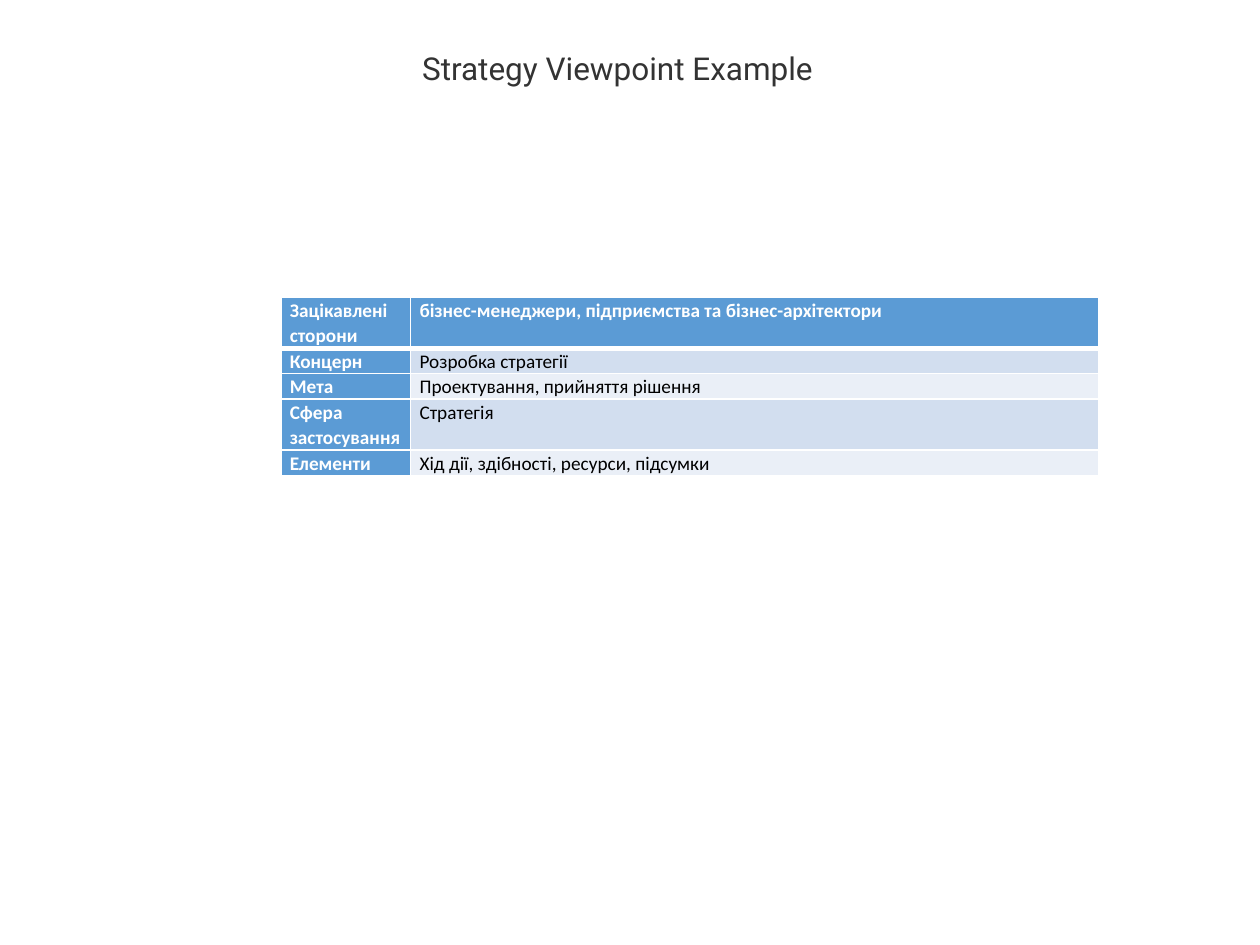
import pptx
import pptx.util
import pptx.dml.color
import pptx.enum.text
import pptx.oxml
import pptx.oxml.ns

COLORS = {
    "white": "FFFFFF",
    "black": "000000",
    "title": "333333",
    "header": "5B9BD5",
    "band_dark": "D2DEEF",
    "band_light": "EAEFF7",
}
LINE_HEIGHT = 0.195
COLUMN_WIDTHS = (1.03, 5.46)

# Label, description and number of text lines in each row
VIEWPOINT_ROWS = (
    ("Зацікавлені сторони", "бізнес-менеджери, підприємства та бізнес-архітектори", 2),
    ("Концерн", "Розробка стратегії", 1),
    ("Мета", "Проектування, прийняття рішення", 1),
    ("Сфера застосування", "Стратегія", 2),
    ("Елементи", "Хід дії, здібності, ресурси, підсумки", 1),
)


def inches(value):
    return pptx.util.Inches(value)


def rgb(name):
    return pptx.dml.color.RGBColor.from_string(COLORS[name])


def write_text(text_frame, text, font="Calibri", size=11, color="black",
               bold=False, line_spacing=1.0):
    paragraph = text_frame.paragraphs[0]
    paragraph.alignment = pptx.enum.text.PP_ALIGN.LEFT
    paragraph.line_spacing = line_spacing
    run = paragraph.add_run()
    run.text = text
    run.font.name = font
    run.font.size = pptx.util.Pt(size)
    run.font.bold = bold
    run.font.color.rgb = rgb(color)


def set_borders(cell, bottom_width):
    """Draw white borders; line elements must come before the cell fill."""
    properties = cell._tc.get_or_add_tcPr()
    widths = {"lnL": 1, "lnR": 1, "lnT": 1, "lnB": bottom_width}
    for position, (side, width) in enumerate(widths.items()):
        line = pptx.oxml.parse_xml(
            f'<a:{side} {pptx.oxml.ns.nsdecls("a")} w="{pptx.util.Pt(width)}">'
            f'<a:solidFill><a:srgbClr val="{COLORS["white"]}"/></a:solidFill>'
            f'</a:{side}>'
        )
        properties.insert(position, line)


def format_cell(cell, text, fill, is_heading, bottom_width):
    cell.margin_left = cell.margin_right = inches(0.07)
    cell.margin_top = cell.margin_bottom = 0
    cell.fill.solid()
    cell.fill.fore_color.rgb = rgb(fill)
    set_borders(cell, bottom_width)
    write_text(cell.text_frame, text, bold=is_heading, line_spacing=1.07,
               color="white" if is_heading else "black")


def add_title(slide, text):
    title = slide.shapes.title
    title.left, title.top = inches(3.25), inches(0.34)
    title.width, title.height = inches(3.35), inches(0.4)
    title.text_frame.word_wrap = False
    title.text_frame.vertical_anchor = pptx.enum.text.MSO_ANCHOR.TOP
    write_text(title.text_frame, text, font="Roboto", size=18, color="title")


def add_viewpoint_table(slide):
    total_lines = sum(lines for _, _, lines in VIEWPOINT_ROWS)
    table = slide.shapes.add_table(
        len(VIEWPOINT_ROWS), len(COLUMN_WIDTHS), inches(2.23), inches(2.36),
        inches(sum(COLUMN_WIDTHS)), inches(total_lines * LINE_HEIGHT)).table
    for column, width in zip(table.columns, COLUMN_WIDTHS):
        column.width = inches(width)

    for row_index, (label, description, lines) in enumerate(VIEWPOINT_ROWS):
        table.rows[row_index].height = inches(lines * LINE_HEIGHT)
        is_first = row_index == 0
        band = "band_dark" if row_index % 2 else "band_light"
        for column_index, text in enumerate((label, description)):
            is_heading = is_first or column_index == 0
            format_cell(table.cell(row_index, column_index), text,
                        "header" if is_heading else band, is_heading,
                        bottom_width=3 if is_first else 1)


def main():
    presentation = pptx.Presentation()
    presentation.slide_width = inches(10)
    presentation.slide_height = inches(7.5)
    # Title Only layout
    slide = presentation.slides.add_slide(presentation.slide_layouts[5])
    add_viewpoint_table(slide)
    add_title(slide, "Strategy Viewpoint Example")
    presentation.save("out.pptx")


if __name__ == "__main__":
    main()
